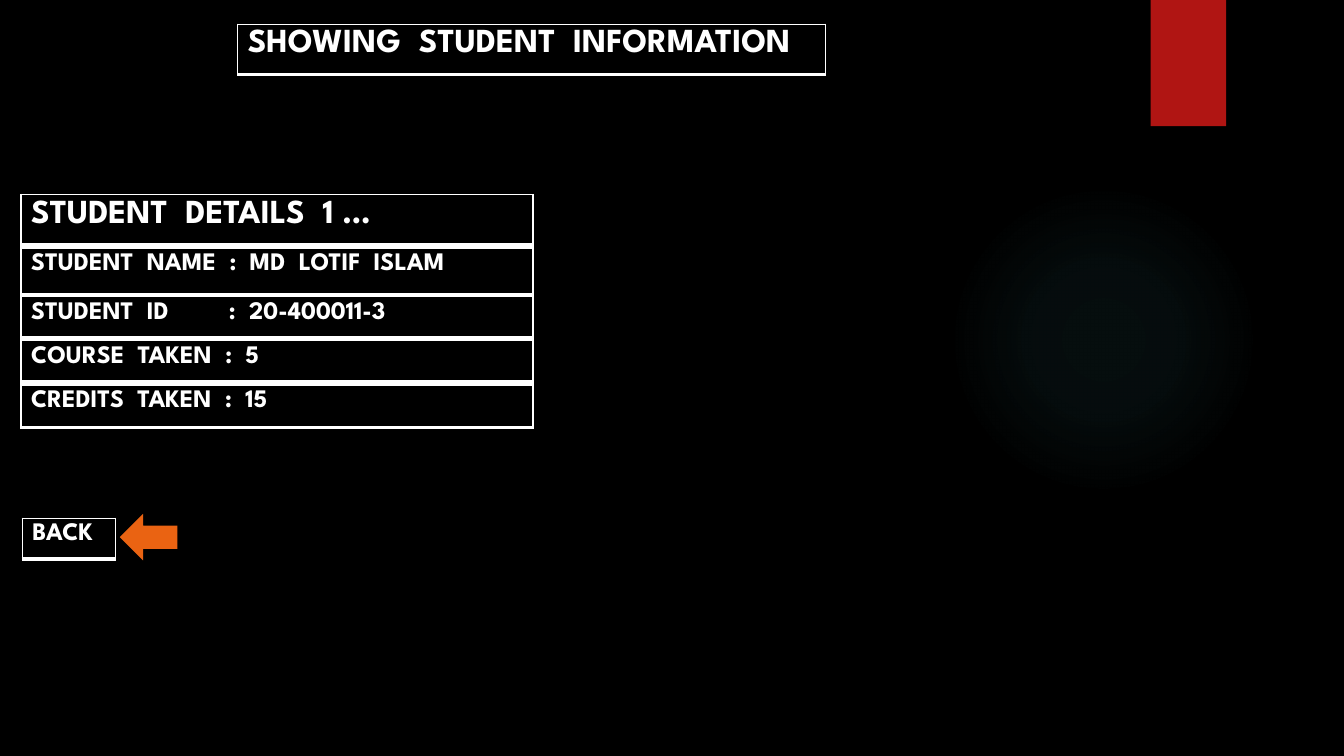
import lxml.etree
import pptx
import pptx.dml.color
import pptx.enum.shapes
import pptx.oxml
import pptx.oxml.ns
import pptx.util

Cm = pptx.util.Cm
Pt = pptx.util.Pt
RGB = pptx.dml.color.RGBColor
SHAPES = pptx.enum.shapes.MSO_SHAPE
qn = pptx.oxml.ns.qn

BLACK = RGB(0x00, 0x00, 0x00)
WHITE = RGB(0xFF, 0xFF, 0xFF)
RED = RGB(0xB0, 0x15, 0x13)
ORANGE = RGB(0xEA, 0x63, 0x12)
TEAL = RGB(0x50, 0xB9, 0xC1)
FONT = "League Spartan"
NS = pptx.oxml.ns.nsdecls("a")

# text, top, height and size of each row of student details
DETAILS = [
    ("STUDENT  DETAILS  1 …", 4.9, 1.27, 24),
    ("STUDENT  NAME  :  MD  LOTIF  ISLAM", 6.25, 1.17, 18),
    ("STUDENT  ID\t:  20-400011-3", 7.47, 1.04, 18),
    ("COURSE  TAKEN  :  5", 8.59, 1.04, 18),
    ("CREDITS  TAKEN  :  15", 9.7, 1.07, 18),
]


def add_shape(slide, kind, left, top, width, height, color):
    shape = slide.shapes.add_shape(kind, Cm(left), Cm(top), Cm(width), Cm(height))
    shape.shadow.inherit = False
    shape.fill.solid()
    shape.fill.fore_color.rgb = color
    shape.line.fill.background()
    return shape


def add_glow(slide):
    """Faint round glow that fades out toward its edge."""
    glow = add_shape(slide, SHAPES.OVAL, 23.9, 4.65, 7.82, 7.82, TEAL)
    stops = "".join(
        f'<a:gs pos="{pos * 1000}"><a:srgbClr val="{TEAL}">'
        f'<a:alpha val="{alpha * 1000}"/></a:srgbClr></a:gs>'
        for pos, alpha in ((0, 7), (36, 6), (69, 0)))
    grad = pptx.oxml.parse_xml(
        f'<a:gradFill {NS}><a:gsLst>{stops}</a:gsLst><a:path path="circle">'
        '<a:fillToRect l="50000" t="50000" r="50000" b="50000"/>'
        '</a:path></a:gradFill>')
    props = glow.element.spPr
    props.replace(props.find(qn("a:solidFill")), grad)


def add_borders(cell):
    props = cell._tc.get_or_add_tcPr()
    for index, (side, width) in enumerate((("L", 1), ("R", 1), ("T", 1), ("B", 3))):
        props.insert(index, pptx.oxml.parse_xml(
            f'<a:ln{side} {NS} w="{Pt(width)}"><a:solidFill>'
            f'<a:srgbClr val="{WHITE}"/></a:solidFill></a:ln{side}>'))


def add_tab(para, offset):
    tabs = lxml.etree.SubElement(para._p.get_or_add_pPr(), qn("a:tabLst"))
    lxml.etree.SubElement(tabs, qn("a:tab"), pos=str(Cm(offset)), algn="l")


def add_box(slide, text, left, top, width, height, size):
    """Table of one bordered cell."""
    frame = slide.shapes.add_table(1, 1, Cm(left), Cm(top), Cm(width), Cm(height))
    cell = frame.table.cell(0, 0)
    cell.fill.solid()
    cell.fill.fore_color.rgb = BLACK
    add_borders(cell)
    para = cell.text_frame.paragraphs[0]
    para.text = text
    if "\t" in text:
        add_tab(para, 4.98)
    for run in para.runs:
        run.font.name = FONT
        run.font.size = Pt(size)
        run.font.bold = True
        run.font.color.rgb = WHITE


def main():
    deck = pptx.Presentation()
    deck.slide_width, deck.slide_height = Cm(33.87), Cm(19.05)
    slide = deck.slides.add_slide(deck.slide_layouts[6])
    slide.background.fill.solid()
    slide.background.fill.fore_color.rgb = BLACK

    add_glow(slide)
    add_shape(slide, SHAPES.RECTANGLE, 29, 0, 1.9, 3.18, RED)
    add_box(slide, "SHOWING  STUDENT  INFORMATION", 5.99, 0.61, 14.81, 1.27, 24)
    for text, top, height, size in DETAILS:
        add_box(slide, text, 0.53, top, 12.9, height, size)
    add_box(slide, "BACK", 0.56, 13.06, 2.36, 1.02, 18)
    arrow = add_shape(slide, SHAPES.RIGHT_ARROW, 3.02, 12.95, 1.45, 1.17, ORANGE)
    arrow.rotation = 180

    deck.save("out.pptx")


if __name__ == "__main__":
    main()
